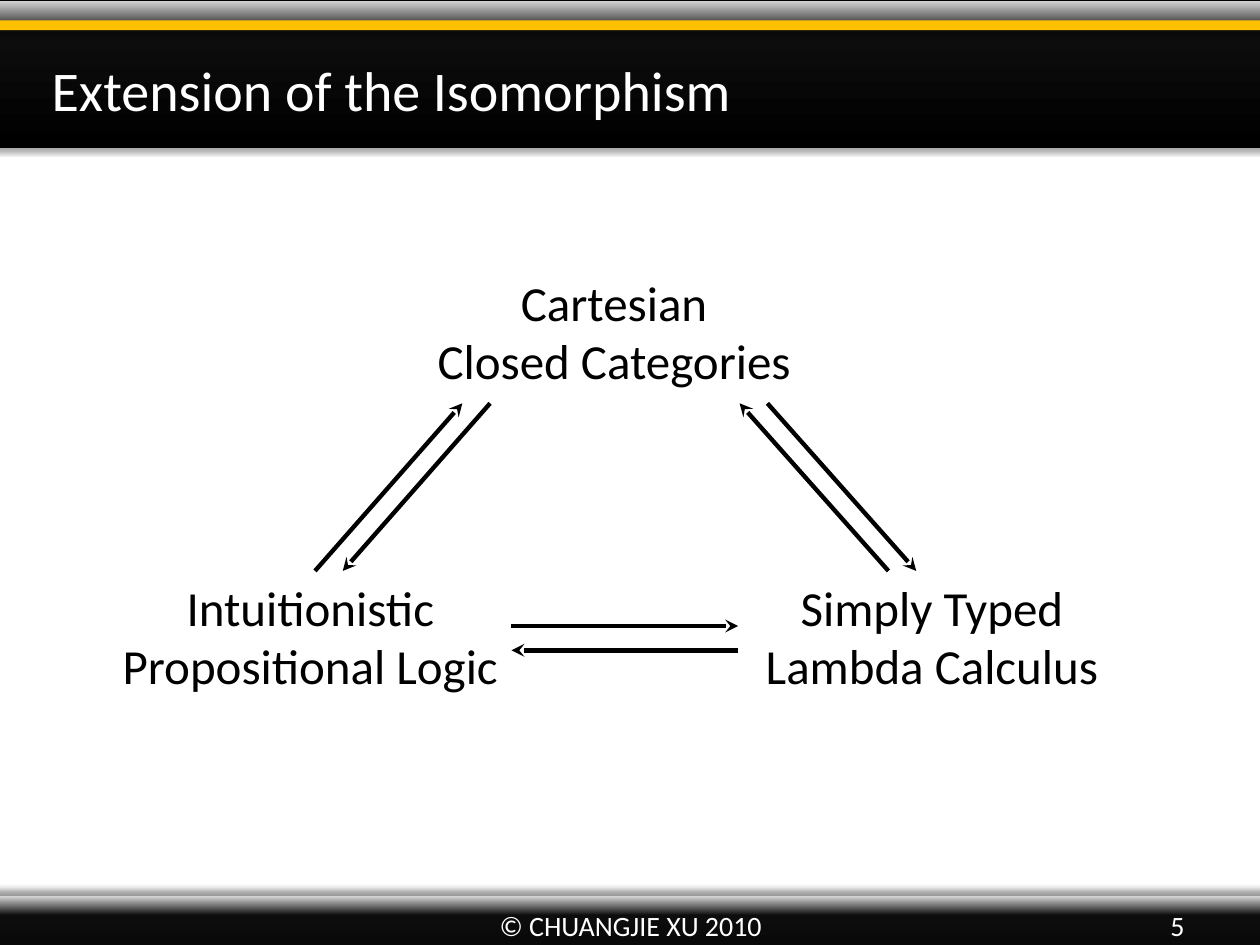
from copy import deepcopy

from lxml import etree
from pptx import Presentation
from pptx.dml.color import RGBColor
from pptx.enum import shapes, text
from pptx.oxml import ns
from pptx.util import Cm, Pt

COLORS = {"black": "000000", "white": "FFFFFF", "gold": "FFC000",
          "silver": "D9D9D9", "charcoal": "0D0D0D"}
BAR_STOPS = [(0, "silver"), (0.22, "charcoal"), (1, "black")]
FONT = "Calibri"


def color(name):
    return RGBColor.from_string(COLORS[name])


def add_element(parent, tag, **attributes):
    return etree.SubElement(parent, ns.qn(tag), {k: str(v) for k, v in attributes.items()})


def add_shadow(shape, alpha, blur, distance, angle):
    shape.shadow.inherit = False
    effects = shape._element.spPr.find(ns.qn("a:effectLst"))
    shadow = add_element(effects, "a:outerShdw", blurRad=Pt(blur), dist=Pt(distance),
                         dir=angle * 60000, rotWithShape=0)
    shade = add_element(shadow, "a:srgbClr", val=COLORS["black"])
    add_element(shade, "a:alpha", val=alpha * 1000)


def add_bar(slide, box, shadow, fill=None, line=None):
    shape = slide.shapes.add_shape(shapes.MSO_SHAPE.RECTANGLE, *map(Cm, box))
    if fill:
        shape.fill.solid()
        shape.fill.fore_color.rgb = color(fill)
    else:
        shape.fill.gradient()
        shape.fill.gradient_angle = 270
        stop_list = shape._element.spPr.find(".//" + ns.qn("a:gsLst"))
        stop_list.append(deepcopy(stop_list[-1]))
        for stop, (position, name) in zip(shape.fill.gradient_stops, BAR_STOPS):
            stop.position = position
            stop.color.rgb = color(name)
    if line:
        shape.line.color.rgb = color(line)
        shape.line.width = Pt(0.75)
    else:
        shape.line.fill.background()
    add_shadow(shape, *shadow)


def add_text(slide, box, lines, size, name, align=text.PP_ALIGN.LEFT,
             anchor=text.MSO_ANCHOR.TOP, wrap=True):
    frame = slide.shapes.add_textbox(*map(Cm, box)).text_frame
    frame.word_wrap = wrap
    frame.vertical_anchor = anchor
    frame.text = "\n".join(lines)
    for paragraph in frame.paragraphs:
        paragraph.alignment = align
        paragraph.font.name = FONT
        paragraph.font.size = Pt(size)
        paragraph.font.color.rgb = color(name)


def add_arrow(slide, start, end):
    arrow = slide.shapes.add_connector(shapes.MSO_CONNECTOR.STRAIGHT,
                                       *map(Cm, (*start, *end)))
    arrow.line.color.rgb = color("black")
    arrow.line.width = Pt(2.5)
    add_element(arrow.line._get_or_add_ln(), "a:tailEnd", type="stealth")
    add_element(arrow._element.spPr, "a:effectLst")


def build_header(slide, left, top, width, height):
    shadow = (35, 3.1, 1.8, 90)
    add_bar(slide, (left, top, width, height), shadow, line="black")
    add_bar(slide, (left - 0.38, top + 0.41, width + 0.59, 0.2), shadow, fill="gold")
    add_text(slide, (left + 0.99, top + 0.99, 18.64, 1.63),
             ["Extension of the Isomorphism"], 32, "white")


def build_footer(slide, left, top, width, height):
    add_bar(slide, (left, top, width, height), (40, 4, 3, 270))
    for offset, label_width, label, align in (
            (18.41, 5.92, "5", text.PP_ALIGN.RIGHT),
            (8.89, 8.05, "© CHUANGJIE XU 2010", text.PP_ALIGN.CENTER)):
        add_text(slide, (left + offset, top + 0.08, label_width, 1.02), [label], 16,
                 "white", align, text.MSO_ANCHOR.MIDDLE)


def build_triangle(slide, left, top, width, height):
    node_height = 2.64
    base = height - node_height
    nodes = [
        (6.35, 0, 7.7, ["Cartesian", "Closed Categories"]),
        (0, base, 8.15, ["Intuitionistic", "Propositional Logic"]),
        (width - 7.29, base, 7.29, ["Simply Typed", "Lambda Calculus"]),
    ]
    for x, y, node_width, lines in nodes:
        add_text(slide, (left + x, top + y, node_width, node_height), lines, 28,
                 "black", text.PP_ALIGN.CENTER, wrap=False)

    upper = 2.77
    arrow_pairs = [
        ((4.17, base), (7.14, upper), (0.56, 0)),
        ((13.29, upper), (16.29, base), (-0.56, 0)),
        ((8.13, base + 1.11), (12.7, base + 1.11), (0, 0.49)),
    ]
    for start, end, (shift_x, shift_y) in arrow_pairs:
        forward = [(left + x, top + y) for x, y in (start, end)]
        backward = [(x + shift_x, y + shift_y) for x, y in reversed(forward)]
        add_arrow(slide, *forward)
        add_arrow(slide, *backward)


presentation = Presentation()
presentation.slide_width = Cm(25.4)
presentation.slide_height = Cm(19.05)
slide = presentation.slides.add_slide(presentation.slide_layouts[6])
build_header(slide, -0.2, 0, 25.8, 2.97)
build_footer(slide, -0.2, 18.06, 25.8, 1.78)
build_triangle(slide, 2.18, 5.36, 20.25, 8.79)
presentation.save("out.pptx")
